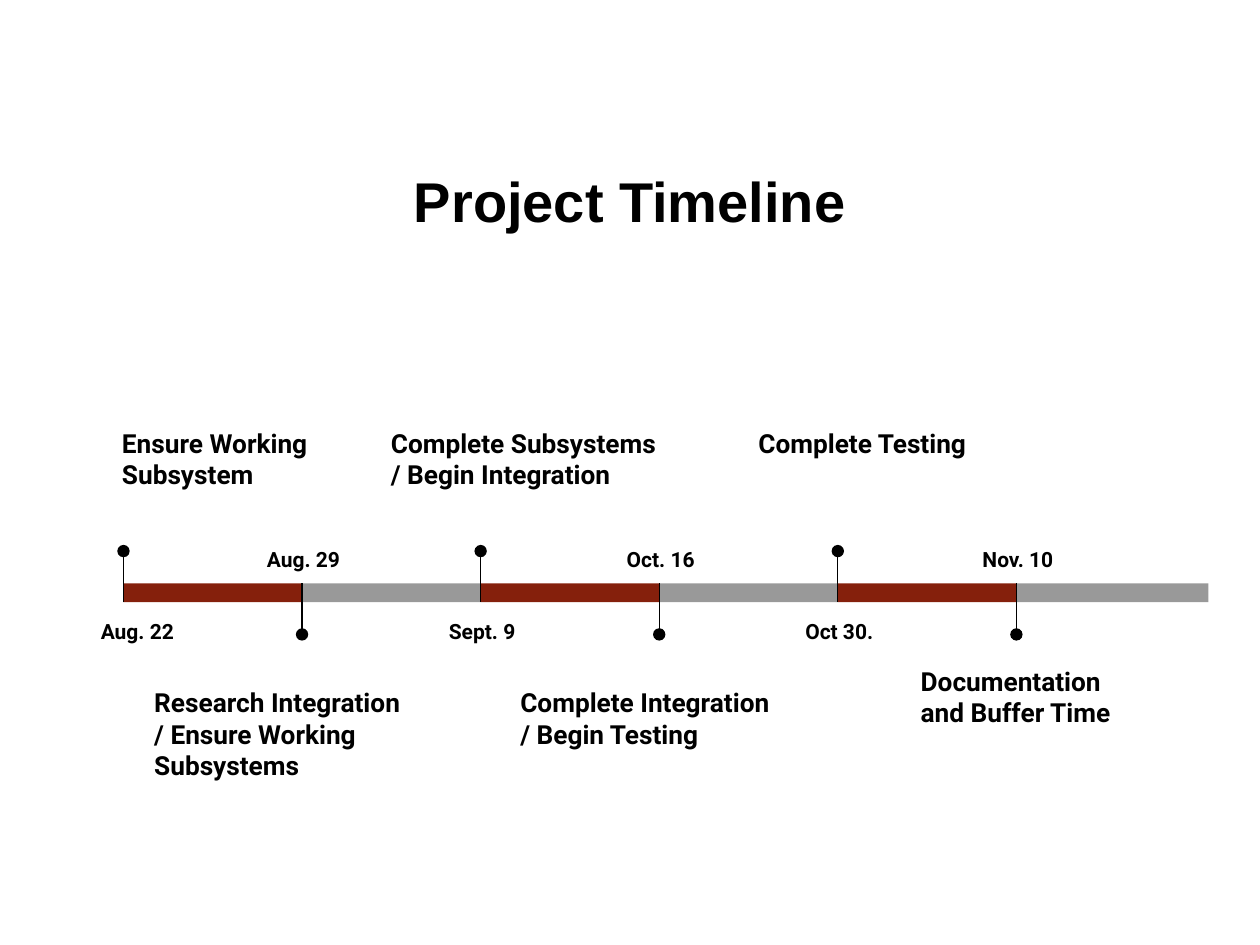
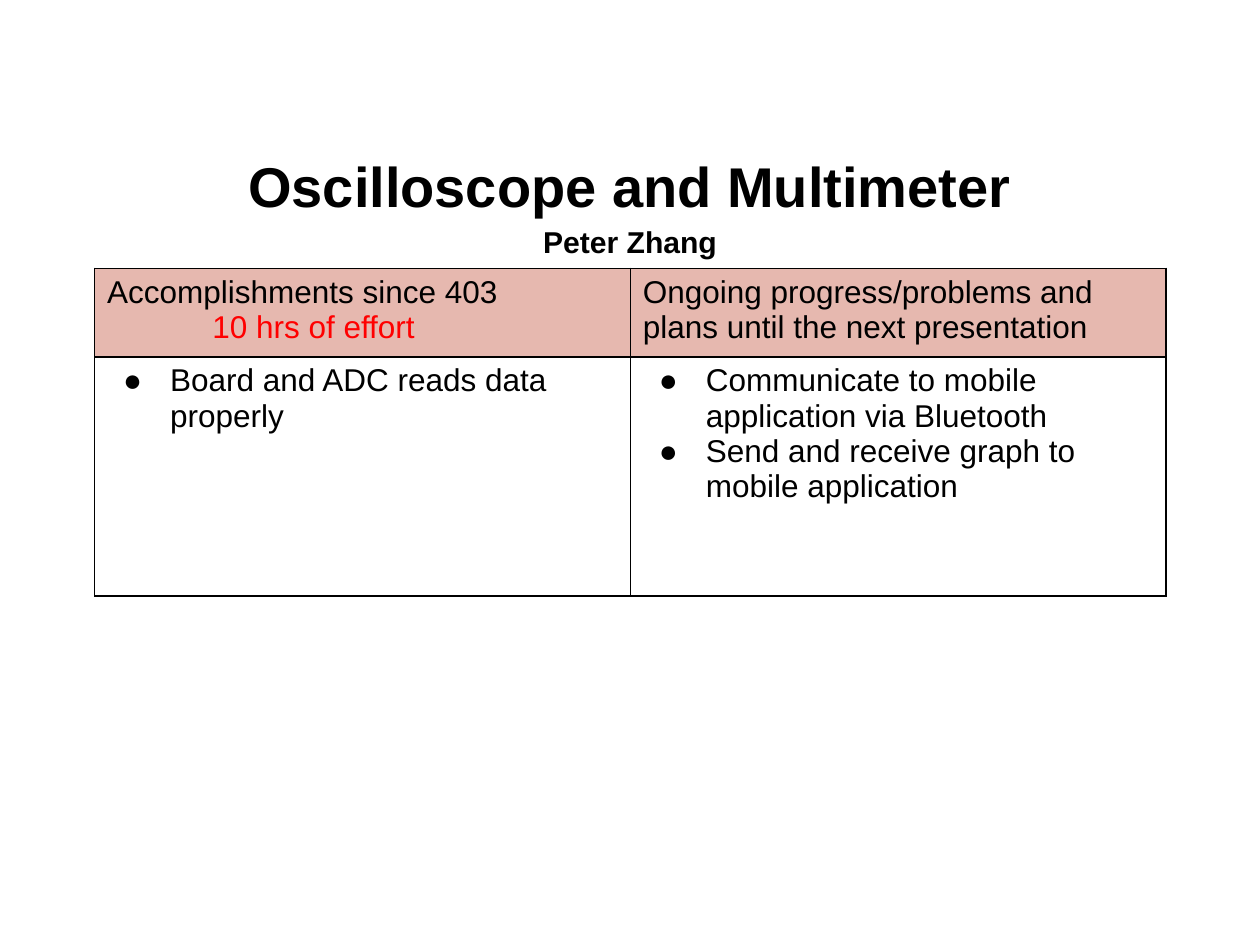
from dataclasses import dataclass
from typing import NamedTuple

from lxml.etree import SubElement
from pptx import Presentation
from pptx.dml.color import RGBColor
from pptx.enum.shapes import MSO_CONNECTOR, MSO_SHAPE
from pptx.enum.text import MSO_ANCHOR, PP_ALIGN
from pptx.oxml import parse_xml
from pptx.oxml.ns import nsdecls, qn
from pptx.util import Cm, Pt


@dataclass(frozen=True)
class Theme:
    ink: str = "000000"
    paper: str = "FFFFFF"
    bar_red: str = "85200C"
    bar_gray: str = "999999"
    header_fill: str = "E6B8AF"
    effort_red: str = "FF0000"
    body_font: str = "Arial"
    timeline_font: str = "Roboto"
    title_size: float = 32
    presenter_size: float = 17.2
    table_size: float = 18
    caption_size: float = 15
    date_size: float = 12
    stem_width: float = 0.75
    border_width: float = 1


class Box(NamedTuple):
    left: float
    top: float
    width: float
    height: float

    def lengths(self):
        return [Cm(value) for value in self]


class Milestone(NamedTuple):
    date: str
    caption: list
    caption_shift: float  # caption's left edge from the stem
    caption_width: float
    caption_lift: float = 0
    date_shift: float = 0.03


THEME = Theme()
SLIDE_WIDTH, SLIDE_HEIGHT = 25.4, 19.05
TITLE_BOX = Box(1.27, 2.92, 22.86, 2.24)
TIMELINE_BOX = Box(2.49, 8.36, 21.87, 7.84)
TABLE_BOX = Box(1.91, 5.41, 21.6, 6.6)

MILESTONES = [
    Milestone("Aug. 22", ["Ensure Working Subsystem"], -0.28, 4.67, date_shift=0.28),
    Milestone("Aug. 29", ["Research Integration", "/ Ensure Working Subsystems"], -3.23, 6.5),
    Milestone("Sept. 9", ["Complete Subsystems", "/ Begin Integration"], -2.06, 6.45),
    Milestone("Oct. 16", ["Complete Integration", "/ Begin Testing"], -3.05, 6.12),
    Milestone("Oct 30.", ["Complete Testing"], -1.85, 7.29),
    Milestone("Nov. 10", ["Documentation and Buffer Time"], -2.18, 4.67, caption_lift=0.43),
]


# Text
def write_paragraph(frame, text, *, size, font=THEME.body_font, color=THEME.ink, bold=False,
                    align=PP_ALIGN.LEFT, line_spacing=None, indent=0, bullet_gap=0):
    """Fill the frame's empty first paragraph, or add another one."""
    first = frame.paragraphs[0]
    paragraph = frame.add_paragraph() if first.runs else first
    paragraph.alignment = align
    if line_spacing:
        paragraph.line_spacing = line_spacing
    run = paragraph.add_run()
    run.text = text
    run.font.name, run.font.size, run.font.bold = font, Pt(size), bold
    run.font.color.rgb = RGBColor.from_string(color)

    properties = paragraph._p.get_or_add_pPr()
    if indent:
        properties.set("marL", str(Cm(indent)))
    if bullet_gap:
        properties.set("indent", str(-Cm(bullet_gap)))
        bullet_color = SubElement(properties, qn("a:buClr"))
        SubElement(bullet_color, qn("a:srgbClr"), val=color)
        SubElement(properties, qn("a:buFont"), typeface=font)
        SubElement(properties, qn("a:buChar"), char="●")


def add_frame(shapes, box, *, inset=0.25, anchor=MSO_ANCHOR.TOP):
    frame = shapes.add_textbox(*box.lengths()).text_frame
    frame.word_wrap = True
    frame.vertical_anchor = anchor
    frame.margin_left = frame.margin_right = Cm(0.25)
    frame.margin_top = frame.margin_bottom = Cm(inset)
    return frame


def add_title(slide, box, title, presenter=None):
    frame = add_frame(slide.shapes, box, inset=0.13, anchor=MSO_ANCHOR.MIDDLE)
    style = dict(bold=True, align=PP_ALIGN.CENTER, line_spacing=1.15 if presenter else None)
    write_paragraph(frame, title, size=THEME.title_size, **style)
    if presenter:
        write_paragraph(frame, presenter, size=THEME.presenter_size, **style)


# Shapes
def add_filled(shapes, kind, box, color):
    shape = shapes.add_shape(kind, *box.lengths())
    shape.shadow.inherit = False
    shape.fill.solid()
    shape.fill.fore_color.rgb = RGBColor.from_string(color)
    shape.line.fill.background()


def add_stem(shapes, x, top, bottom):
    stem = shapes.add_connector(MSO_CONNECTOR.STRAIGHT, Cm(x), Cm(top), Cm(x), Cm(bottom))
    stem.line.color.rgb = RGBColor.from_string(THEME.ink)
    stem.line.width = Pt(THEME.stem_width)
    SubElement(stem._element.spPr, qn("a:effectLst"))


# Timeline: captions alternate above and below the bar, dates take the other side
def add_milestone(shapes, box, index, milestone):
    step, bar_height, dot = 3.6, 0.38, 0.25
    date_width, date_height, caption_height = 2.4, 1.04, 2.61
    above = index % 2 == 0
    x = box.left + index * step
    bar_top = box.top + 3.4
    bar_bottom = bar_top + bar_height

    # Bar segment; the last one runs to the end of the box
    last = index == len(MILESTONES) - 1
    width = box.left + box.width - x if last else step
    add_filled(shapes, MSO_SHAPE.RECTANGLE, Box(x, bar_top, width, bar_height),
               THEME.bar_red if above else THEME.bar_gray)

    # Stem and dot
    dot_y = bar_top - 0.65 if above else bar_bottom + 0.65
    add_stem(shapes, x, min(dot_y, bar_top), max(dot_y, bar_bottom))
    add_filled(shapes, MSO_SHAPE.OVAL, Box(x - dot / 2, dot_y - dot / 2, dot, dot), THEME.ink)

    # Date
    date_top = bar_bottom if above else bar_top - date_height - 0.03
    date_left = x + milestone.date_shift - date_width / 2
    frame = add_frame(shapes, Box(date_left, date_top, date_width, date_height))
    write_paragraph(frame, milestone.date, size=THEME.date_size, font=THEME.timeline_font,
                    bold=True, align=PP_ALIGN.CENTER, line_spacing=1.15)

    # Caption
    caption_top = box.top if above else box.top + box.height - caption_height
    frame = add_frame(shapes, Box(x + milestone.caption_shift, caption_top - milestone.caption_lift,
                                  milestone.caption_width, caption_height))
    for line in milestone.caption:
        write_paragraph(frame, line, size=THEME.caption_size, font=THEME.timeline_font, bold=True)


def add_timeline(slide, box):
    for index, milestone in enumerate(MILESTONES):
        group = slide.shapes.add_group_shape()
        add_milestone(group.shapes, box, index, milestone)


# Progress table
def style_cell(cell, fill):
    cell.margin_left = cell.margin_right = Cm(0.25)
    cell.margin_top = cell.margin_bottom = Cm(0.13)
    cell.fill.solid()
    cell.fill.fore_color.rgb = RGBColor.from_string(fill)
    properties = cell._tc.get_or_add_tcPr()
    for position, side in enumerate("LRTB"):
        properties.insert(position, parse_xml(
            f'<a:ln{side} {nsdecls("a")} w="{Pt(THEME.border_width)}"><a:solidFill>'
            f'<a:srgbClr val="{THEME.ink}"/></a:solidFill></a:ln{side}>'))


def add_progress_table(slide, box):
    plain = dict(size=THEME.table_size)
    bullet = dict(plain, indent=1.27, bullet_gap=0.95)
    effort = dict(plain, color=THEME.effort_red, indent=2.12)
    rows = [
        [[("Accomplishments since 403", plain), ("10 hrs of effort", effort)],
         [("Ongoing progress/problems and plans until the next presentation", plain)]],
        [[("Board and ADC reads data properly", bullet)],
         [("Communicate to mobile application via Bluetooth", bullet),
          ("Send and receive graph to mobile application", bullet)]],
    ]
    header_height = 1.78
    table = slide.shapes.add_table(len(rows), len(rows[0]), *box.lengths()).table
    table.first_row = table.horz_banding = False
    for column in table.columns:
        column.width = Cm(box.width / len(rows[0]))
    table.rows[0].height = Cm(header_height)
    table.rows[1].height = Cm(box.height - header_height)
    for row_index, row in enumerate(rows):
        for column_index, paragraphs in enumerate(row):
            cell = table.cell(row_index, column_index)
            style_cell(cell, THEME.paper if row_index else THEME.header_fill)
            for text, style in paragraphs:
                write_paragraph(cell.text_frame, text, **style)


# Slides
def add_slide(presentation):
    slide = presentation.slides.add_slide(presentation.slide_layouts[6])
    slide.background.fill.solid()
    slide.background.fill.fore_color.rgb = RGBColor.from_string(THEME.paper)
    return slide


def add_timeline_slide(presentation):
    slide = add_slide(presentation)
    add_title(slide, TITLE_BOX, "Project Timeline")
    add_timeline(slide, TIMELINE_BOX)


def add_progress_slide(presentation):
    slide = add_slide(presentation)
    add_title(slide, TITLE_BOX, "Oscilloscope and Multimeter", "Peter Zhang")
    add_progress_table(slide, TABLE_BOX)


def main():
    presentation = Presentation()
    presentation.slide_width, presentation.slide_height = Cm(SLIDE_WIDTH), Cm(SLIDE_HEIGHT)
    add_timeline_slide(presentation)
    add_progress_slide(presentation)
    presentation.save("out.pptx")


if __name__ == "__main__":
    main()
